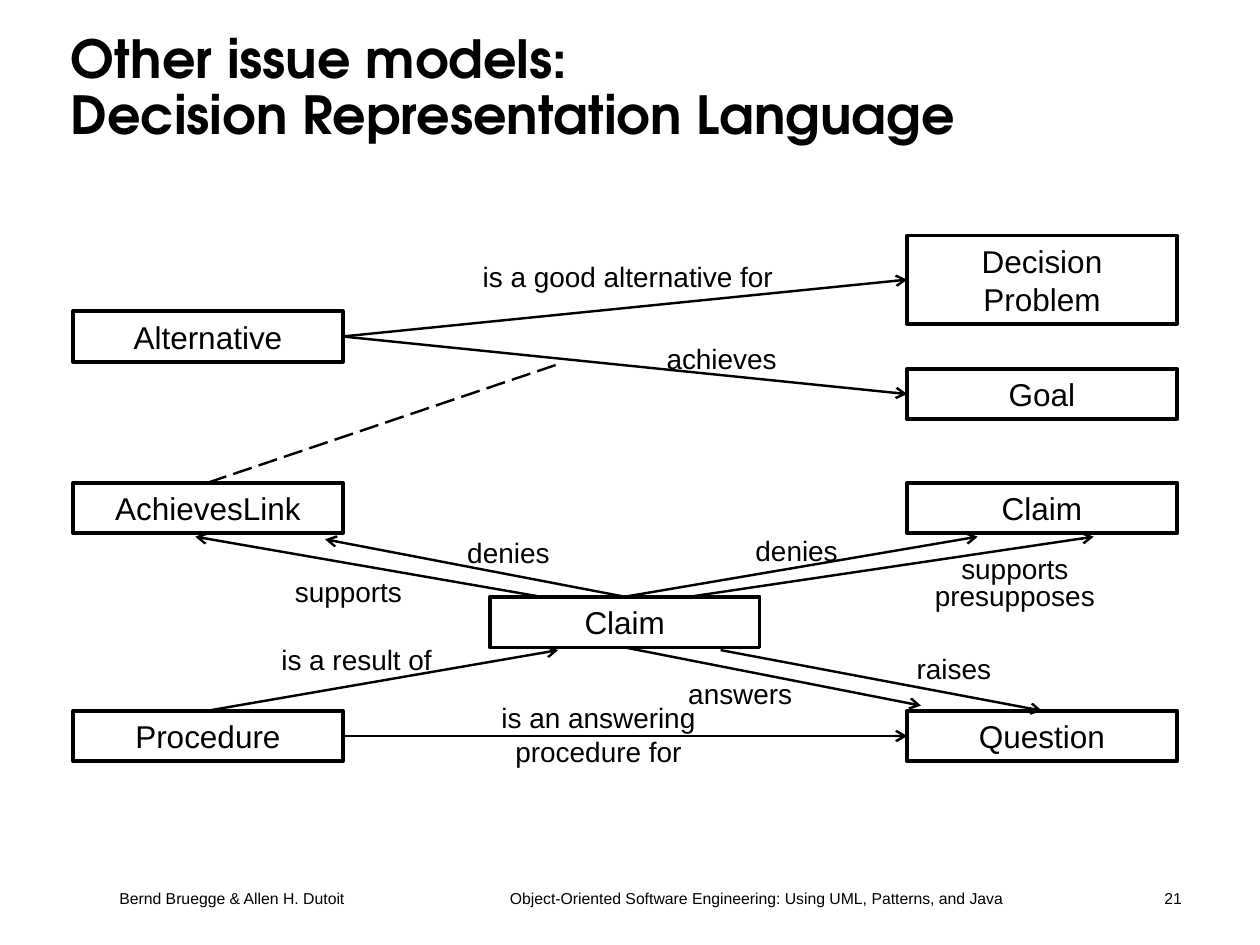
from dataclasses import dataclass
from typing import Optional, Union

import lxml.etree
import pptx
import pptx.dml.color
import pptx.enum.dml
import pptx.enum.shapes
import pptx.enum.text
import pptx.oxml.ns
import pptx.util

Pt = pptx.util.Pt
ALIGN = pptx.enum.text.PP_ALIGN
COLORS = {"ink": "000000"}
LEFT, CENTER, RIGHT = 41.8, 280, 518.4
BOX_WIDTH, BOX_HEIGHT = 154, 29
TOP_SIDE, LEFT_SIDE, BOTTOM_SIDE, RIGHT_SIDE = range(4)
FORMATS = {
    "title": {"size": Pt(30), "name": "TeX Gyre Adventor", "bold": True},
    "box": {"size": Pt(18), "name": "Arial"},
    "label": {"size": Pt(16), "name": "Arial"},
    "footer": {"size": Pt(9), "name": "Arial"},
}
BOX_FRAME = {"word_wrap": True, "vertical_anchor": pptx.enum.text.MSO_ANCHOR.MIDDLE}
LABEL_FRAME = {"word_wrap": False, "margin_left": 0, "margin_right": 0,
               "margin_top": 0, "margin_bottom": 0,
               "auto_size": pptx.enum.text.MSO_AUTO_SIZE.SHAPE_TO_FIT_TEXT}


@dataclass
class Concept:
    key: str
    text: str
    left: float
    top: float
    height: float = BOX_HEIGHT


@dataclass
class Side:
    key: str
    site: int


@dataclass
class Point:
    x: float
    y: float


End = Union[Side, Point]


@dataclass
class Relation:
    start: End
    end: End
    dashed: bool = False


@dataclass
class Label:
    text: str
    left: float
    top: float
    width: float
    height: float = 19.2
    spacing: Optional[float] = None


CONCEPTS = [
    Concept("problem", "Decision Problem", RIGHT, 134.6, 50.4),
    Concept("alternative", "Alternative", LEFT, 177.8),
    Concept("goal", "Goal", RIGHT, 210.7),
    Concept("link", "AchievesLink", LEFT, 275.8),
    Concept("claim", "Claim", CENTER, 341),
    Concept("target claim", "Claim", RIGHT, 275.8),
    Concept("question", "Question", RIGHT, 406.1),
    Concept("procedure", "Procedure", LEFT, 406.1),
]
RELATIONS = [
    Relation(Side("alternative", RIGHT_SIDE), Side("problem", LEFT_SIDE)),
    Relation(Side("alternative", RIGHT_SIDE), Side("goal", LEFT_SIDE)),
    Relation(Point(306.7, 340.6), Point(111.6, 306.7)),
    Relation(Side("claim", TOP_SIDE), Point(185.8, 308.2)),
    Relation(Side("procedure", TOP_SIDE), Point(319, 371.5)),
    Relation(Side("procedure", RIGHT_SIDE), Side("question", LEFT_SIDE)),
    Relation(Side("claim", TOP_SIDE), Point(558.7, 306.7)),
    Relation(Point(396.7, 340.6), Point(625, 306.7)),
    Relation(Point(411.8, 371.5), Side("question", TOP_SIDE)),
    Relation(Side("claim", BOTTOM_SIDE), Point(526.3, 403.2)),
    Relation(Side("link", TOP_SIDE), Point(319, 208.1), dashed=True),
]
LABELS = [
    Label("is a good alternative for", 274.8, 148.3, 168),
    Label("achieves", 379.4, 195.1, 66),
    Label("supports", 167.1, 328.3, 64),
    Label("denies", 265, 306, 51),
    Label("is a result of", 159.3, 367.2, 89),
    Label("is an answering\vprocedure for", 285.5, 400.3, 113, 38.2),
    Label("denies", 429.7, 304.6, 51),
    Label("supports\vpresupposes", 532.9, 319, 94, 31, 0.8),
    Label("raises", 521.6, 372.2, 47),
    Label("answers", 391.5, 386.6, 63),
]


def ink() -> pptx.dml.color.RGBColor:
    """Return the text and line colour."""
    return pptx.dml.color.RGBColor.from_string(COLORS["ink"])


def apply(target, values: dict) -> None:
    """Set each named attribute on the target."""
    for attribute, value in values.items():
        setattr(target, attribute, value)


def write(shape, text: str, style: str, frame: dict, paragraph: dict) -> None:
    """Fill a shape with one formatted paragraph."""
    apply(shape.text_frame, frame)
    line = shape.text_frame.paragraphs[0]
    line.text = text
    apply(line, paragraph)
    for run in line.runs:
        apply(run.font, FORMATS[style])
        run.font.color.rgb = ink()


def draw_concept(slide, concept: Concept):
    """Draw an outlined concept box."""
    box = slide.shapes.add_shape(
        pptx.enum.shapes.MSO_SHAPE.RECTANGLE, Pt(concept.left), Pt(concept.top),
        Pt(BOX_WIDTH), Pt(concept.height))
    box.shadow.inherit = False
    box.fill.background()
    box.line.color.rgb = ink()
    box.line.width = Pt(2.25)
    write(box, concept.text, "box", BOX_FRAME, {"alignment": ALIGN.CENTER})
    return box


def draw_relation(slide, relation: Relation, boxes: dict) -> None:
    """Draw a relation line, joined to boxes where it meets a side."""
    ends = [(Pt(end.x), Pt(end.y)) if isinstance(end, Point) else (0, 0)
            for end in (relation.start, relation.end)]
    connector = slide.shapes.add_connector(
        pptx.enum.shapes.MSO_CONNECTOR.STRAIGHT, *ends[0], *ends[1])
    for end, join in ((relation.start, connector.begin_connect),
                      (relation.end, connector.end_connect)):
        if isinstance(end, Side):
            join(boxes[end.key], end.site)
    connector.line.color.rgb = ink()
    connector.line.width = Pt(1.39)
    properties = connector._element.spPr
    if relation.dashed:
        connector.line.dash_style = pptx.enum.dml.MSO_LINE.LONG_DASH
    else:
        lxml.etree.SubElement(properties.get_or_add_ln(),
                              pptx.oxml.ns.qn("a:tailEnd"), type="arrow")
    lxml.etree.SubElement(properties, pptx.oxml.ns.qn("a:effectLst"))


def draw_label(slide, label: Label) -> None:
    """Draw a centred relation label."""
    area = slide.shapes.add_textbox(
        Pt(label.left), Pt(label.top), Pt(label.width), Pt(label.height))
    write(area, label.text, "label", LABEL_FRAME,
          {"alignment": ALIGN.CENTER, "line_spacing": label.spacing})


def draw_footer(slide) -> None:
    """Draw authors, book title and page number on tab stops."""
    footer = slide.shapes.add_textbox(Pt(41.8), Pt(504.3), Pt(660), Pt(18))
    paragraph = footer.text_frame.paragraphs[0]
    stops = lxml.etree.SubElement(paragraph._p.get_or_add_pPr(),
                                  pptx.oxml.ns.qn("a:tabLst"))
    for position, side in ((223.2, "l"), (607.2, "r")):
        lxml.etree.SubElement(stops, pptx.oxml.ns.qn("a:tab"),
                              pos=str(int(Pt(position))), algn=side)
    write(footer, "Bernd Bruegge & Allen H. Dutoit\tObject-Oriented Software "
          "Engineering: Using UML, Patterns, and Java\t21", "footer",
          {"word_wrap": True, "margin_left": Pt(26.4)}, {"alignment": ALIGN.LEFT})


def main() -> None:
    """Build and save the slide."""
    deck = pptx.Presentation()
    apply(deck, {"slide_width": Pt(720), "slide_height": Pt(540)})
    slide = deck.slides.add_slide(deck.slide_layouts[6])
    draw_footer(slide)
    title = slide.shapes.add_textbox(Pt(33.1), Pt(17.3), Pt(642.2), Pt(67.7))
    write(title, "Other issue models:\vDecision Representation Language", "title",
          BOX_FRAME, {"line_spacing": 0.9})
    boxes = {concept.key: draw_concept(slide, concept) for concept in CONCEPTS}
    for relation in RELATIONS:
        draw_relation(slide, relation, boxes)
    for label in LABELS:
        draw_label(slide, label)
    deck.save("out.pptx")


if __name__ == "__main__":
    main()
